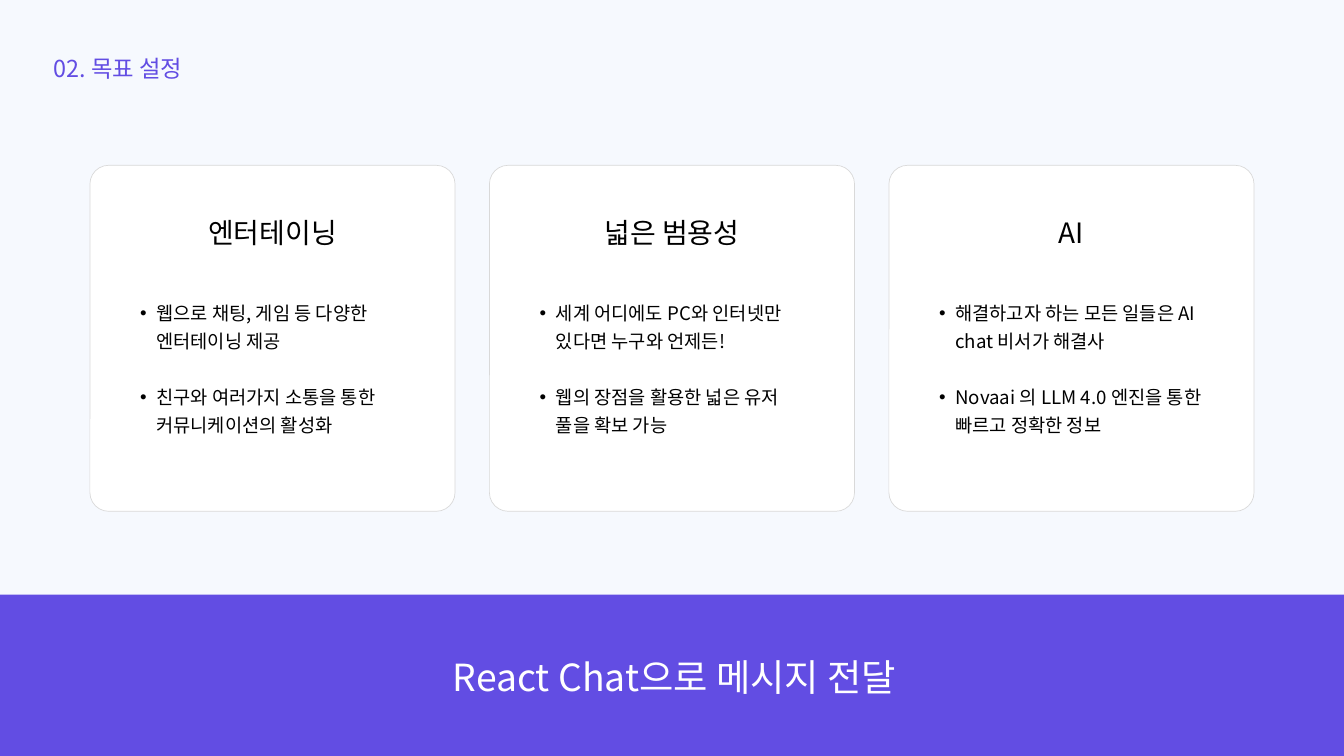
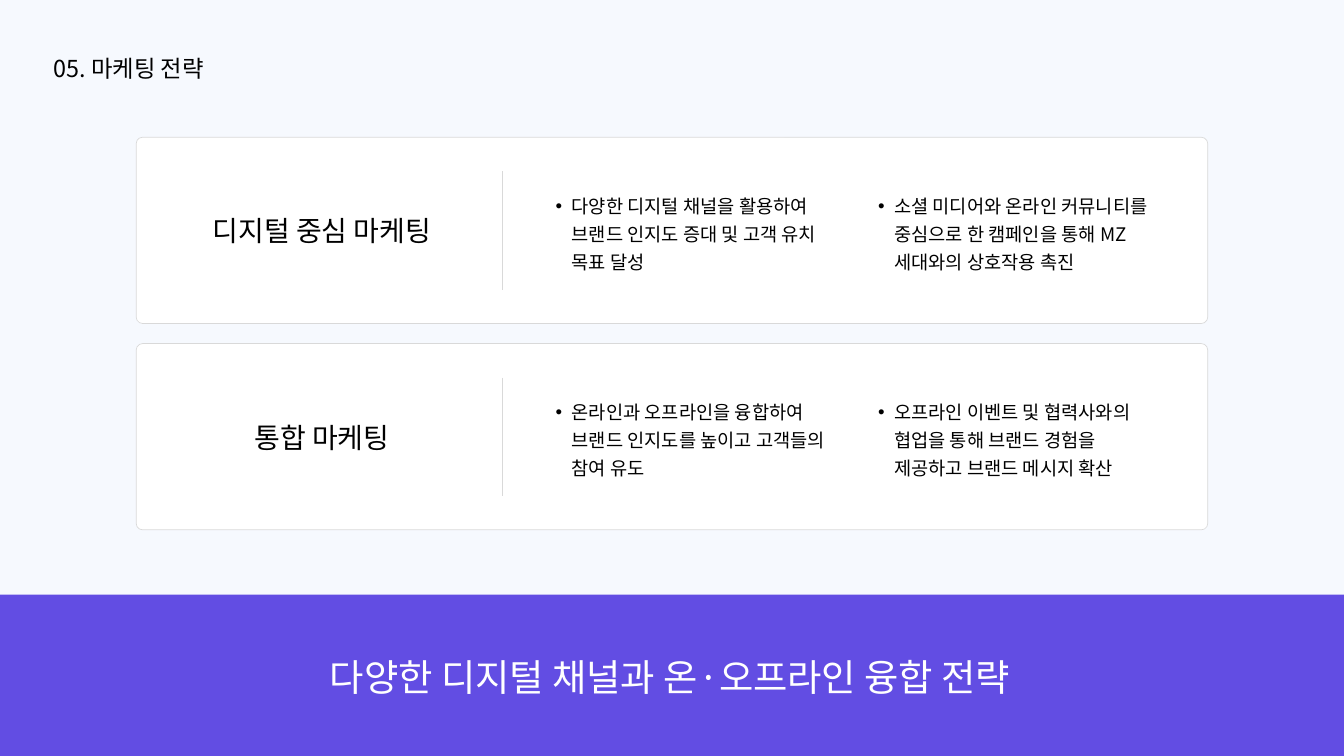
"""Build the goal and marketing strategy slides."""
from lxml.etree import SubElement
from pptx import Presentation
from pptx.dml.color import RGBColor
from pptx.enum.shapes import MSO_CONNECTOR as Link, MSO_SHAPE as Kind
from pptx.enum.text import MSO_AUTO_SIZE as Fit, PP_ALIGN as Align
from pptx.oxml.ns import qn
from pptx.util import Cm, Pt

FONT = "Noto Sans CJK KR"
PAPER, BRAND, WHITE, BLACK, GREY = "F6F9FE", "624DE3", "FFFFFF", "000000", "D9D9D9"
LEADS = {20: 30, 25: 35, 30: 42, 40: 56}
rgb = RGBColor.from_string


def box(slide, kind, x, y, w, h, fill, line=None, curve=0):
    shape = slide.shapes.add_shape(kind, Cm(x), Cm(y), Cm(w), Cm(h))
    shape.shadow.inherit = False
    shape.fill.solid()
    shape.fill.fore_color.rgb = rgb(fill)
    if line:
        shape.line.color.rgb = rgb(line)
        shape.line.width = Pt(0.75)
    else:
        shape.line.fill.background()
    if curve:
        shape.adjustments[0] = curve / min(w, h)


def write(slide, text, x, y, w, h, size, color=BLACK, align=None, bullet=False):
    frame = slide.shapes.add_textbox(Cm(x), Cm(y), Cm(w), Cm(h)).text_frame
    frame.margin_left = frame.margin_right = frame.margin_top = frame.margin_bottom = 0
    frame.word_wrap = True
    frame.auto_size = Fit.SHAPE_TO_FIT_TEXT
    frame.text = text
    para = frame.paragraphs[0]
    if bullet:
        para.level = 1
        props = para._p.get_or_add_pPr()
        props.set("marL", str(Cm(1.19)))
        props.set("indent", str(Cm(-0.61)))
        SubElement(props, qn("a:buFont"), typeface="Arial")
        SubElement(props, qn("a:buChar"), char="•")
    para.alignment = align
    para.line_spacing = Pt(LEADS[size])
    run = para.runs[0]
    run.font.size = Pt(size)
    run.font.color.rgb = rgb(color)
    run.font.name = FONT
    SubElement(run.font._element, qn("a:ea"), typeface=FONT)


deck = Presentation()
deck.slide_width, deck.slide_height = Cm(50.8), Cm(28.58)

frames = [
    ("02. 목표 설정", BRAND, "React Chat으로 메시지 전달", 17.12, 25.7),
    ("05. 마케팅 전략", BLACK, "다양한 디지털 채널과 온·오프라인 융합 전략", 12.47, 37.44),
]
slides = []
for title, color, claim, left, width in frames:
    slide = deck.slides.add_slide(deck.slide_layouts[6])
    slide.background.fill.solid()
    slide.background.fill.fore_color.rgb = rgb(PAPER)
    box(slide, Kind.RECTANGLE, 0, 22.48, 50.8, 6.1, BRAND)
    write(slide, claim, left, 24.46, width, 1.85, 40, WHITE)
    write(slide, title, 2.03, 1.88, 13.61, 1.19, 25, color)
    slides.append(slide)
goals, market = slides

cards = [
    ("엔터테이닝", [("웹으로 채팅, 게임 등 다양한 엔터테이닝 제공", 11.15),
                ("친구와 여러가지 소통을 통한 커뮤니케이션의 활성화", 11.15)]),
    ("넓은 범용성", [("세계 어디에도 PC와 인터넷만 있다면 누구와 언제든!", 10.13),
                 ("웹의 장점을 활용한 넓은 유저 풀을 확보 가능", 10.72)]),
    ("AI", [("해결하고자 하는 모든 일들은 AI chat 비서가 해결사", 10.64),
            ("Novaai 의 LLM 4.0 엔진을 통한 빠르고 정확한 정보", 11.61)]),
]
for col, (head, points) in enumerate(cards):
    x = 3.4 + 15.1 * col
    box(goals, Kind.ROUNDED_RECTANGLE, x, 6.25, 13.8, 13.08, WHITE, GREY, 0.71)
    write(goals, head, x + 0.9, 7.95, 12, 1.37, 30, align=Align.CENTER)
    for row, (text, width) in enumerate(points):
        write(goals, text, x + 1.32, 11.2 + 3.18 * row, width, 2.03, 20, bullet=True)

plans = [
    ("디지털 중심 마케팅", ["다양한 디지털 채널을 활용하여 브랜드 인지도 증대 및 고객 유치 목표 달성",
                   "소셜 미디어와 온라인 커뮤니티를 중심으로 한 캠페인을 통해 MZ 세대와의 상호작용 촉진"]),
    ("통합 마케팅", ["온라인과 오프라인을 융합하여 브랜드 인지도를 높이고 고객들의 참여 유도",
                "오프라인 이벤트 및 협력사와의 협업을 통해 브랜드 경험을 제공하고 브랜드 메시지 확산"]),
]
for row, (head, points) in enumerate(plans):
    y = 5.19 + 7.8 * row
    box(market, Kind.ROUNDED_RECTANGLE, 5.15, y, 40.5, 7.04, WHITE, GREY, 0.24)
    write(market, head, 6.76, y + 2.68, 10.82, 1.5, 30, align=Align.CENTER)
    for text, x, width in zip(points, (20.42, 32.61), (11, 11.15)):
        write(market, text, x, y + 1.97, width, 3.15, 20, bullet=True)
    rule = market.shapes.add_connector(Link.STRAIGHT, Cm(18.97), Cm(y + 1.29), Cm(18.97), Cm(y + 5.76))
    rule.line.color.rgb = rgb(GREY)
    rule.line.width = Pt(0.75)
    SubElement(rule._element.spPr, qn("a:effectLst"))

deck.save("out.pptx")
